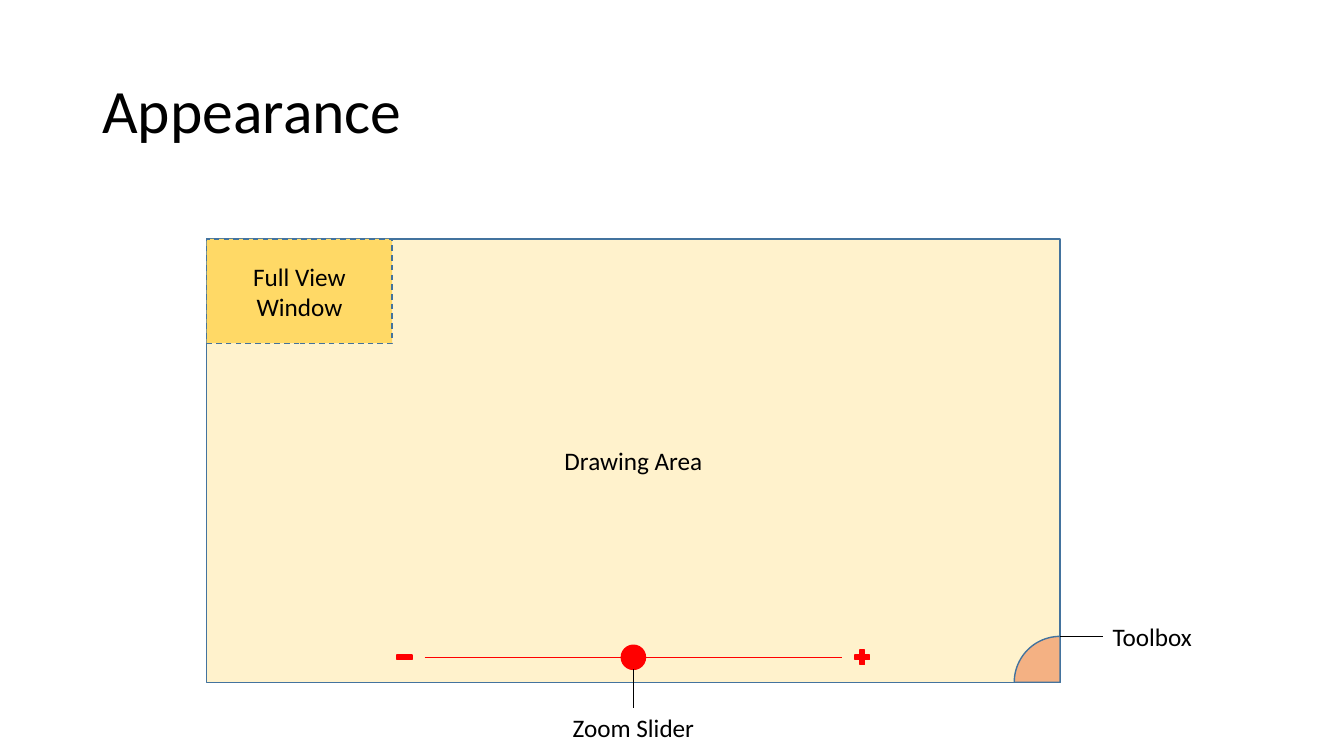
"""Build the slide that explains the appearance of a drawing application."""
import pptx
import pptx.util
import pptx.dml.color
import pptx.enum.dml
import pptx.enum.shapes
import pptx.enum.text
import pptx.oxml.ns
import lxml.etree

RGBColor = pptx.dml.color.RGBColor
Shape = pptx.enum.shapes.MSO_SHAPE
Align = pptx.enum.text.PP_ALIGN
Anchor = pptx.enum.text.MSO_ANCHOR

BLACK = RGBColor(0x00, 0x00, 0x00)
RED = RGBColor(0xFF, 0x00, 0x00)
OUTLINE = RGBColor(0x43, 0x73, 0x9E)
CREAM = RGBColor(0xFF, 0xF2, 0xCC)
GOLD = RGBColor(0xFF, 0xD9, 0x66)
ORANGE = RGBColor(0xF4, 0xB1, 0x83)

WIDTH, HEIGHT = pptx.util.Inches(13.333), pptx.util.Inches(7.5)
COLUMN, ROW = WIDTH / 100, HEIGHT / 100
ROWS_PER_COLUMN = COLUMN / ROW


def grid(*lengths):
    """Turn alternating columns and rows into slide lengths."""
    return [round(n * (ROW if i % 2 else COLUMN)) for i, n in enumerate(lengths)]


def write(shape, text, size=18, align=Align.CENTER, anchor=Anchor.MIDDLE,
          spacing=None, grow=False):
    """Put formatted text into a shape."""
    frame = shape.text_frame
    frame.word_wrap = True
    frame.vertical_anchor = anchor
    if grow:
        frame.auto_size = pptx.enum.text.MSO_AUTO_SIZE.SHAPE_TO_FIT_TEXT
    paragraph = frame.paragraphs[0]
    paragraph.alignment = align
    paragraph.line_spacing = spacing
    run = paragraph.add_run()
    run.text = text
    run.font.name = "Calibri"
    run.font.size = pptx.util.Pt(size)
    run.font.color.rgb = BLACK


def add_label(slide, text, left, top, width, height, **text_format):
    """Add a text box."""
    write(slide.shapes.add_textbox(*grid(left, top, width, height)), text, **text_format)


def add_area(slide, kind, left, top, width, height, fill, outline=OUTLINE):
    """Add a filled and outlined preset shape."""
    area = slide.shapes.add_shape(kind, *grid(left, top, width, height))
    area.shadow.inherit = False
    area.fill.solid()
    area.fill.fore_color.rgb = fill
    area.line.color.rgb = outline
    area.line.width = pptx.util.Pt(1)
    return area


def add_round(slide, kind, center_x, center_y, diameter, fill, outline=OUTLINE):
    """Add a shape with equal sides around a centre, its diameter in columns."""
    rows = diameter * ROWS_PER_COLUMN
    return add_area(slide, kind, center_x - diameter / 2, center_y - rows / 2,
                    diameter, rows, fill, outline)


def add_line(slide, start_x, start_y, end_x, end_y, color=BLACK, width=0.5):
    """Add a straight line without a shadow."""
    line = slide.shapes.add_connector(pptx.enum.shapes.MSO_CONNECTOR.STRAIGHT,
                                      *grid(start_x, start_y, end_x, end_y))
    line.line.color.rgb = color
    line.line.width = pptx.util.Pt(width)
    lxml.etree.SubElement(line._element.spPr, pptx.oxml.ns.qn("a:effectLst"))


def add_slider(slide, center, level, knob=1.8, reach=15.53, sign_reach=17.03):
    """Add the zoom track with its knob and the signs at both ends."""
    add_line(slide, center - reach, level, center + reach, level, RED)
    add_round(slide, Shape.OVAL, center, level, knob, RED, RED)
    for sign, side in ((Shape.MATH_PLUS, 1), (Shape.MATH_MINUS, -1)):
        add_round(slide, sign, center + side * sign_reach, level, 1.5, RED, RED)


def main():
    """Build and save the slide."""
    deck = pptx.Presentation()
    deck.slide_width, deck.slide_height = WIDTH, HEIGHT
    slide = deck.slides.add_slide(deck.slide_layouts[6])

    left, top, width, height = 15.38, 31.6, 63.5, 58.65
    right, bottom, center = left + width, top + height, left + width / 2
    toolbox_size = 6.83
    toolbox_top = bottom - toolbox_size / 2 * ROWS_PER_COLUMN
    toolbox_label, label_height = 82.05, 5.39
    slider_level, slider_label, knob = 86.95, 93.6, 1.8

    add_label(slide, "Appearance", 6.88, 5.33, 86.25, 19.33,
              size=44, align=Align.LEFT, spacing=0.9)
    drawing_area = add_area(slide, Shape.RECTANGLE, left, top, width, height, CREAM)
    write(drawing_area, "Drawing Area")

    toolbox = add_round(slide, Shape.PIE, right, bottom, toolbox_size, ORANGE)
    toolbox.adjustments[0], toolbox.adjustments[1] = 108, 162
    add_label(slide, "Toolbox", toolbox_label, toolbox_top - label_height / 2, 10.05,
              label_height, align=Align.LEFT, anchor=Anchor.TOP, grow=True)
    add_line(slide, right, toolbox_top, toolbox_label, toolbox_top, width=1)

    full_view = add_area(slide, Shape.RECTANGLE, left, top, 13.8, 13.8, GOLD)
    full_view.line.dash_style = pptx.enum.dml.MSO_LINE.DASH
    write(full_view, "Full View Window")

    add_slider(slide, center, slider_level, knob)
    add_label(slide, "Zoom Slider", center - 8.28, slider_label, 16.56, label_height,
              anchor=Anchor.TOP, grow=True)
    add_line(slide, center, slider_level + knob / 2 * ROWS_PER_COLUMN,
             center, slider_label)
    deck.save("out.pptx")


main()
